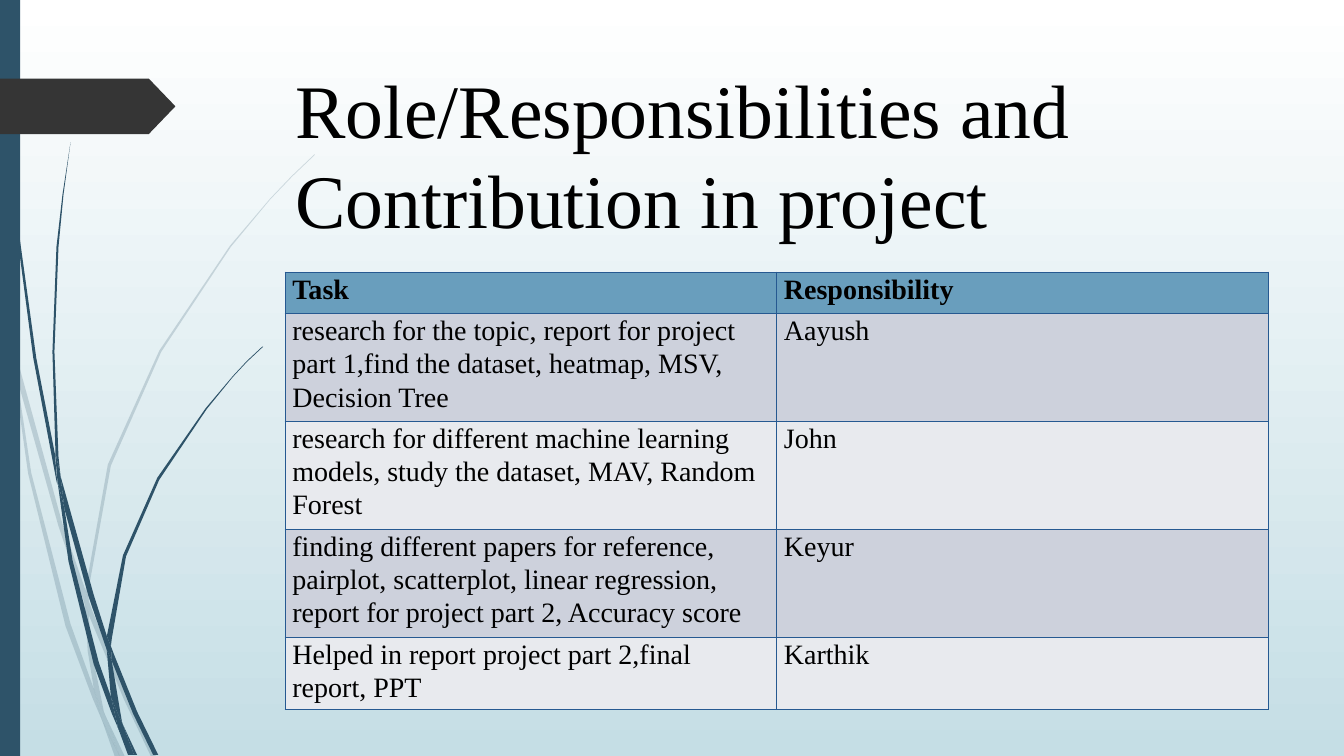
"""Build the project roles slide with its reed-decorated backdrop."""
from dataclasses import dataclass

from lxml import etree
from pptx import Presentation
from pptx.dml.color import RGBColor
from pptx.enum.shapes import MSO_SHAPE
from pptx.enum.text import MSO_ANCHOR
from pptx.oxml.ns import qn
from pptx.util import Inches, Pt

RECTANGLE = MSO_SHAPE.RECTANGLE
PENTAGON = MSO_SHAPE.PENTAGON
BOTTOM = MSO_ANCHOR.BOTTOM
COLUMNS, ROWS = 13.33, 7.5
CELL = Inches(1)


@dataclass(frozen=True)
class Theme:
    """Colours, font and type sizes of the slide."""

    sky: str = "FFFFFF"
    mist: str = "C5DEE5"
    reed: str = "2E5369"
    tag: str = "353535"
    ink: str = "000000"
    header: str = "699EBD"
    bands: tuple = ("CDD1DC", "E8EAEE")
    border: str = "265991"
    border_width: float = 1
    faint: int = 20
    font: str = "Times New Roman"
    title_size: int = 54
    table_size: int = 20
    line_spacing: float = 1.07


THEME = Theme()

# Outlines of the reed blades as (column, row) corners.
FAINT_BLADES = [
    [(.11, 3.5), (.09, 3.22), (0, 2.82), (0, 2.99), (.1, 3.44)],
    [(.58, 5.22), (.84, 5.99), (.85, 5.86), (.62, 5.2), (.14, 3.45), (.17, 3.76)],
    [(.92, 6.07), (.88, 5.96), (.88, 6.1), (1.23, 6.94), (1.5, 7.51), (1.55, 7.51), (1.27, 6.92)],
    [(1.19, 7.51), (1.24, 7.51), (1.05, 7.11)],
    [(.93, 6.83), (.7, 6.19), (.31, 4.69), (.17, 3.76), (.11, 3.5), (.28, 4.7), (.65, 6.21),
     (.92, 6.93), (1.01, 7.14), (.99, 7.07)],
    [(.84, 5.99), (.87, 6.46), (.93, 6.83), (.96, 6.92), (1.05, 7.11), (1.03, 7.06), (.91, 6.46),
     (.88, 6.1), (.88, 6.08)],
    [(.88, 5.84), (1.1, 4.62), (1.6, 3.49), (2.29, 2.45), (2.68, 1.98), (2.9, 1.75), (3.12, 1.54),
     (3.12, 1.53), (2.89, 1.75), (2.68, 1.97), (2.28, 2.44), (1.58, 3.48), (1.07, 4.61),
     (.85, 5.84), (.85, 5.86), (.88, 5.96)],
    [(1.01, 7.14), (1.14, 7.51), (1.19, 7.51)],
    [(.88, 6.08), (.88, 6.1), (.88, 5.96), (.85, 5.86), (.84, 5.99)],
    [(.96, 6.92), (.93, 6.83), (.99, 7.07), (1.01, 7.14), (1.19, 7.51), (1.05, 7.11)],
]
DARK_BLADES = [
    [(.07, 1.1), (.17, 2.33), (.33, 3.55), (.56, 4.77), (.57, 4.81), (.55, 4.57), (.55, 4.53),
     (.36, 3.55), (.19, 2.32), (.08, 1.09), (.05, .48), (.04, 0), (.03, 0), (.04, .48)],
    [(.88, 5.92), (1.06, 6.45), (1.06, 6.33), (1.06, 6.31), (.93, 5.9), (.6, 4.72), (.64, 5.05)],
    [(1.13, 6.49), (1.1, 6.41), (1.11, 6.56), (1.32, 7.08), (1.52, 7.49), (1.57, 7.49),
     (1.36, 7.06)],
    [(1.1, 6.91), (.98, 6.57), (.72, 5.56), (.64, 5.05), (.57, 4.77), (.68, 5.57), (.93, 6.59),
     (1.11, 7.08), (1.17, 7.22), (1.16, 7.17)],
    [(.6, 4.72), (.58, 4.53), (.54, 3.49), (.58, 2.45), (.63, 1.93), (.7, 1.41), (.62, 1.93),
     (.56, 2.45), (.52, 3.49), (.55, 4.49)],
    [(1.33, 7.49), (1.36, 7.49), (1.22, 7.19)],
    [(.57, 4.77), (.64, 5.05), (.6, 4.72), (.55, 4.49), (.55, 4.53)],
    [(1.11, 6.33), (1.25, 5.52), (1.58, 4.76), (2.05, 4.06), (2.31, 3.74), (2.45, 3.59),
     (2.61, 3.44), (2.6, 3.44), (2.45, 3.58), (2.31, 3.73), (2.04, 4.05), (1.56, 4.74),
     (1.22, 5.51), (1.06, 6.31), (1.1, 6.41)],
    [(1.17, 7.22), (1.27, 7.49), (1.31, 7.49)],
    [(1.06, 6.45), (1.1, 6.91), (1.16, 7.06), (1.22, 7.19), (1.21, 7.16), (1.11, 6.56),
     (1.09, 6.51)],
    [(1.06, 6.45), (1.09, 6.51), (1.11, 6.56), (1.1, 6.41), (1.06, 6.31), (1.06, 6.33)],
    [(1.16, 7.06), (1.1, 6.91), (1.16, 7.17), (1.17, 7.22), (1.3, 7.49), (1.33, 7.49),
     (1.22, 7.19)],
]
ROLES = [
    ("Task", "Responsibility"),
    ("research for the topic, report for project part 1,find the dataset, "
     "heatmap, MSV, Decision Tree", "Aayush"),
    ("research for different machine learning models, study the dataset, "
     "MAV, Random Forest", "John"),
    ("finding different papers for reference, pairplot, scatterplot, "
     "linear regression, report for project part 2, Accuracy score", "Keyur"),
    ("Helped in report project part 2,final report, PPT", "Karthik"),
]


def grid(*cells):
    """Turn grid columns and rows into slide lengths."""
    return [round(cell * CELL) for cell in cells]


def paint(shape, colour, opacity=100):
    """Give a shape a plain fill without line or shadow."""
    shape.shadow.inherit = False
    shape.line.fill.background()
    shape.fill.solid()
    shape.fill.fore_color.rgb = RGBColor.from_string(colour)
    if opacity < 100:
        tint = shape.element.spPr.find(qn("a:solidFill"))[0]
        etree.SubElement(tint, qn("a:alpha"), val=str(opacity * 1000))


def set_type(font, size, bold=False):
    """Apply the theme typeface and ink."""
    font.name, font.size, font.bold = THEME.font, Pt(size), bold
    font.color.rgb = RGBColor.from_string(THEME.ink)


def add_background(slide):
    """Fill the backdrop from white down to pale blue."""
    fill = slide.background.fill
    fill.gradient()
    fill.gradient_angle = 270
    for stop, colour in zip(fill.gradient_stops, (THEME.sky, THEME.mist)):
        stop.color.rgb = RGBColor.from_string(colour)


def add_blade(slide, corners, opacity):
    """Draw one blade of a reed."""
    start, *others = [grid(*corner) for corner in corners]
    builder = slide.shapes.build_freeform(*start)
    builder.add_line_segments(others, close=True)
    paint(builder.convert_to_shape(), THEME.reed, opacity)


def add_block(slide, preset, box, colour):
    """Place a plain preset shape on the grid."""
    block = slide.shapes.add_shape(preset, *grid(*box))
    paint(block, colour)
    return block


def add_title(slide, wording, box):
    """Write the slide title, resting on the bottom of its box."""
    frame = slide.shapes.add_textbox(*grid(*box)).text_frame
    frame.word_wrap = True
    frame.vertical_anchor = BOTTOM
    frame.text = wording
    set_type(frame.paragraphs[0].font, THEME.title_size)


def add_borders(cell):
    """Line all four sides of a table cell."""
    properties = cell._tc.get_or_add_tcPr()
    for side in ("a:lnL", "a:lnR", "a:lnT", "a:lnB"):
        line = etree.SubElement(properties, qn(side), w=str(Pt(THEME.border_width)))
        fill = etree.SubElement(line, qn("a:solidFill"))
        etree.SubElement(fill, qn("a:srgbClr"), val=THEME.border)


def fill_cell(cell, wording, colour, bold):
    """Write and colour one table cell."""
    add_borders(cell)
    cell.fill.solid()
    cell.fill.fore_color.rgb = RGBColor.from_string(colour)
    cell.margin_left, cell.margin_right = grid(.07, .07)
    cell.margin_top = cell.margin_bottom = 0
    cell.text = wording
    paragraph = cell.text_frame.paragraphs[0]
    paragraph.line_spacing = THEME.line_spacing
    set_type(paragraph.runs[0].font, THEME.table_size, bold)


def add_roles_table(slide, roles, left, top, width, row_height):
    """Build the table of tasks and responsible people."""
    box = grid(left, top, width, row_height * len(roles))
    table = slide.shapes.add_table(len(roles), len(roles[0]), *box).table
    for row, entry in enumerate(roles):
        colour = THEME.bands[(row - 1) % 2] if row else THEME.header
        for column, wording in enumerate(entry):
            fill_cell(table.cell(row, column), wording, colour, row == 0)


def main():
    """Assemble and save the slide."""
    deck = Presentation()
    deck.slide_width, deck.slide_height = grid(COLUMNS, ROWS)
    slide = deck.slides.add_slide(deck.slide_layouts[6])
    add_background(slide)
    for blades, opacity in ((FAINT_BLADES, THEME.faint), (DARK_BLADES, 100)):
        for corners in blades:
            add_blade(slide, corners, opacity)
    add_block(slide, RECTANGLE, (0, 0, .2, ROWS), THEME.reed)
    tag = add_block(slide, PENTAGON, (0, .78, 1.74, .55), THEME.tag)
    tag.adjustments[0] = .48
    add_title(slide, "Role/Responsibilities and Contribution in project",
              (2.83, .55, 9.62, 1.92))
    add_roles_table(slide, ROLES, 2.83, 2.7, 9.75, .41)
    deck.save("out.pptx")


if __name__ == "__main__":
    main()
